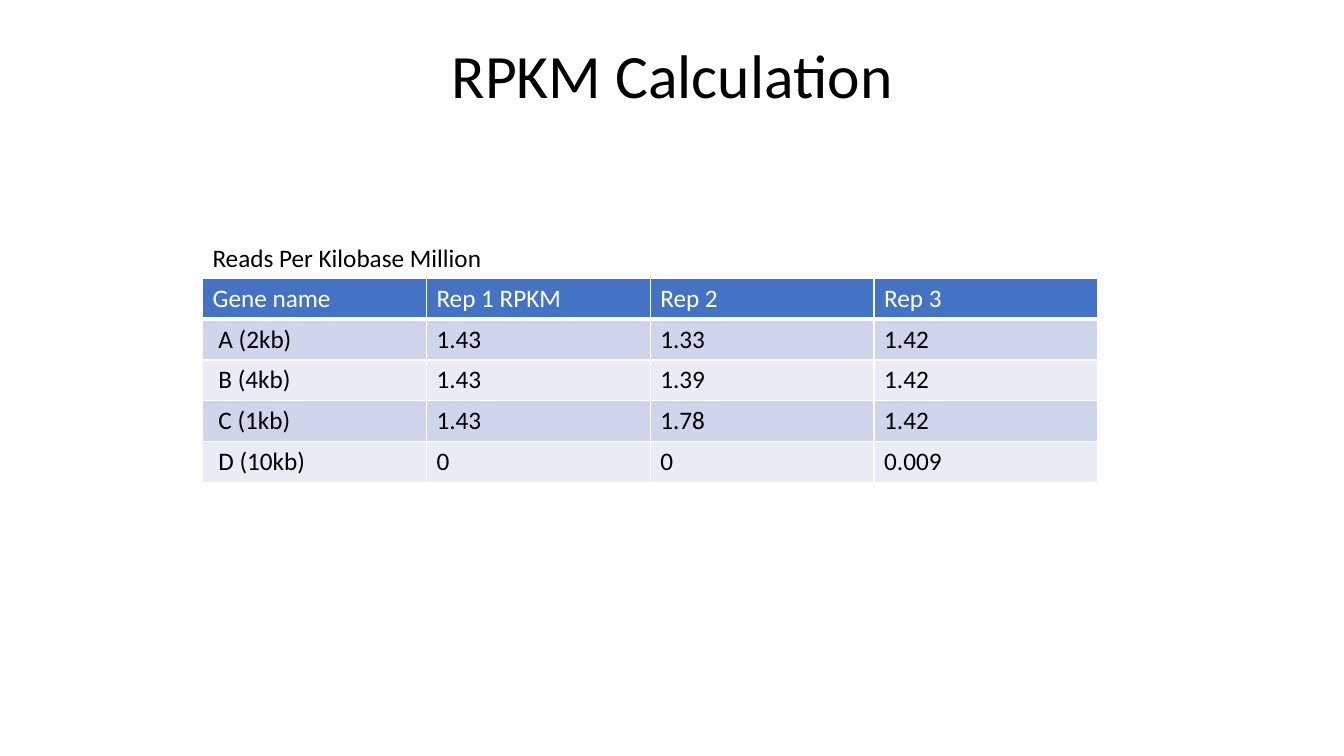
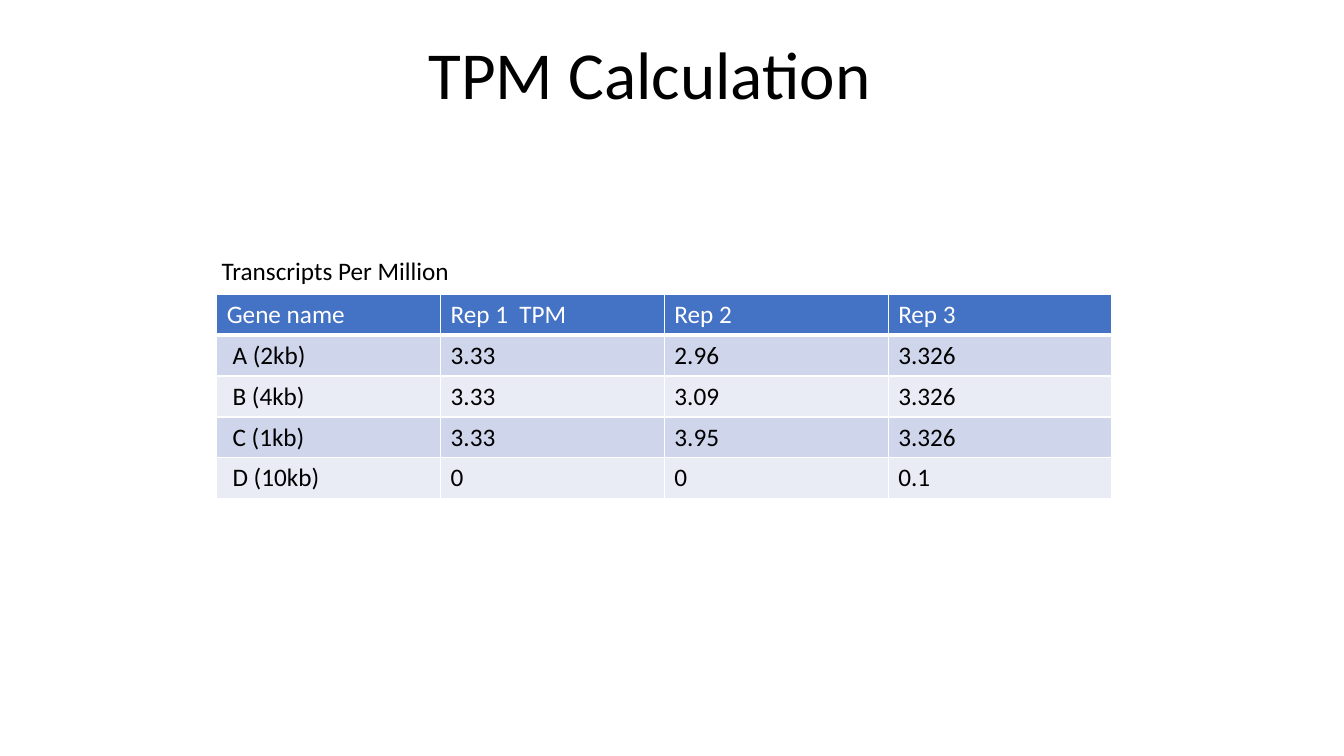
from dataclasses import dataclass

from lxml.etree import SubElement
from pptx import Presentation
from pptx.dml.color import RGBColor as Rgb
from pptx.enum.text import MSO_ANCHOR as Anchor, PP_ALIGN as Align
from pptx.oxml.ns import qn
from pptx.presentation import Presentation as Deck
from pptx.slide import Slide
from pptx.table import _Cell as Cell
from pptx.text.text import TextFrame
from pptx.util import Inches, Pt

FONT = "Calibri"
COLORS = {
    "text": "000000",
    "head": "4472C4",
    "odd": "CFD5EA",
    "even": "E9EBF5",
    "white": "FFFFFF",
}
GENES = (" A (2kb)", " B (4kb)", " C (1kb)", " D (10kb)")
COL, ROW = 2.22, 0.4
Box = tuple[float, float, float, float]


@dataclass(frozen=True)
class Title:
    text: str
    box: Box
    size: int
    align: Align
    lead: float
    wrap: bool


@dataclass(frozen=True)
class Page:
    title: Title
    label: str
    spot: Box
    left: float
    top: float
    unit: str
    reps: tuple[tuple[str, ...], ...]


PAGES = (
    Page(
        Title("RPKM Calculation", (0.92, 0.4, 11.5, 1.45), 44, Align.CENTER, 0.9, True),
        "Reads Per Kilobase Million", (2.01, 2.36, 2.9, 0.4),
        2.01, 2.76, "Rep 1 RPKM",
        (
            ("1.43", "1.43", "1.43", "0"),
            ("1.33", "1.39", "1.78", "0"),
            ("1.42", "1.42", "1.42", "0.009"),
        ),
    ),
    Page(
        Title("TPM Calculation", (4.15, 0.27, 4.64, 0.91), 48, Align.LEFT, 1.0, False),
        "Transcripts Per Million", (2.1, 2.48, 2.54, 0.4),
        2.15, 2.92, "Rep 1  TPM",
        (
            ("3.33", "3.33", "3.33", "0"),
            ("2.96", "3.09", "3.95", "0"),
            ("3.326", "3.326", "3.326", "0.1"),
        ),
    ),
)


def write(frame: TextFrame, text: str, *, size: int = 18, color: str = "text",
          align: Align = Align.LEFT, lead: float = 1.0) -> None:
    frame.text = text
    para = frame.paragraphs[0]
    para.alignment = align
    para.line_spacing = lead
    font = para.runs[0].font
    font.name = FONT
    font.size = Pt(size)
    font.bold = False
    font.color.rgb = Rgb.from_string(COLORS[color])


def edge(cell: Cell, base: int) -> None:
    props = cell._tc.get_or_add_tcPr()
    for side, width in (("L", 1), ("R", 1), ("T", 1), ("B", base)):
        line = SubElement(props, qn(f"a:ln{side}"), w=str(Pt(width)))
        fill = SubElement(line, qn("a:solidFill"))
        SubElement(fill, qn("a:srgbClr"), val=COLORS["white"])


def add_title(slide: Slide, title: Title) -> None:
    shape = slide.shapes.title
    shape.left, shape.top, shape.width, shape.height = map(Inches, title.box)
    frame = shape.text_frame
    frame.word_wrap = title.wrap
    frame.vertical_anchor = Anchor.TOP
    write(frame, title.text, size=title.size, align=title.align, lead=title.lead)


def add_grid(slide: Slide, page: Page) -> None:
    rows = [("Gene name", page.unit, "Rep 2", "Rep 3"), *zip(GENES, *page.reps)]
    count = len(rows[0])
    grid = slide.shapes.add_table(
        len(rows), count, Inches(page.left), Inches(page.top),
        Inches(COL * count), Inches(ROW * len(rows)),
    ).table
    for r, row in enumerate(rows):
        band = "head" if r == 0 else "odd" if r % 2 else "even"
        for c, text in enumerate(row):
            cell = grid.cell(r, c)
            edge(cell, 1 if r else 3)
            cell.fill.solid()
            cell.fill.fore_color.rgb = Rgb.from_string(COLORS[band])
            write(cell.text_frame, text, color="text" if r else "white")


def add_page(deck: Deck, page: Page) -> None:
    slide = deck.slides.add_slide(deck.slide_layouts[5])
    add_title(slide, page.title)
    add_grid(slide, page)
    label = slide.shapes.add_textbox(*map(Inches, page.spot))
    label.text_frame.word_wrap = False
    write(label.text_frame, page.label)


def main() -> None:
    deck = Presentation()
    deck.slide_width, deck.slide_height = Inches(13.33), Inches(7.5)
    for page in PAGES:
        add_page(deck, page)
    deck.save("out.pptx")


if __name__ == "__main__":
    main()
